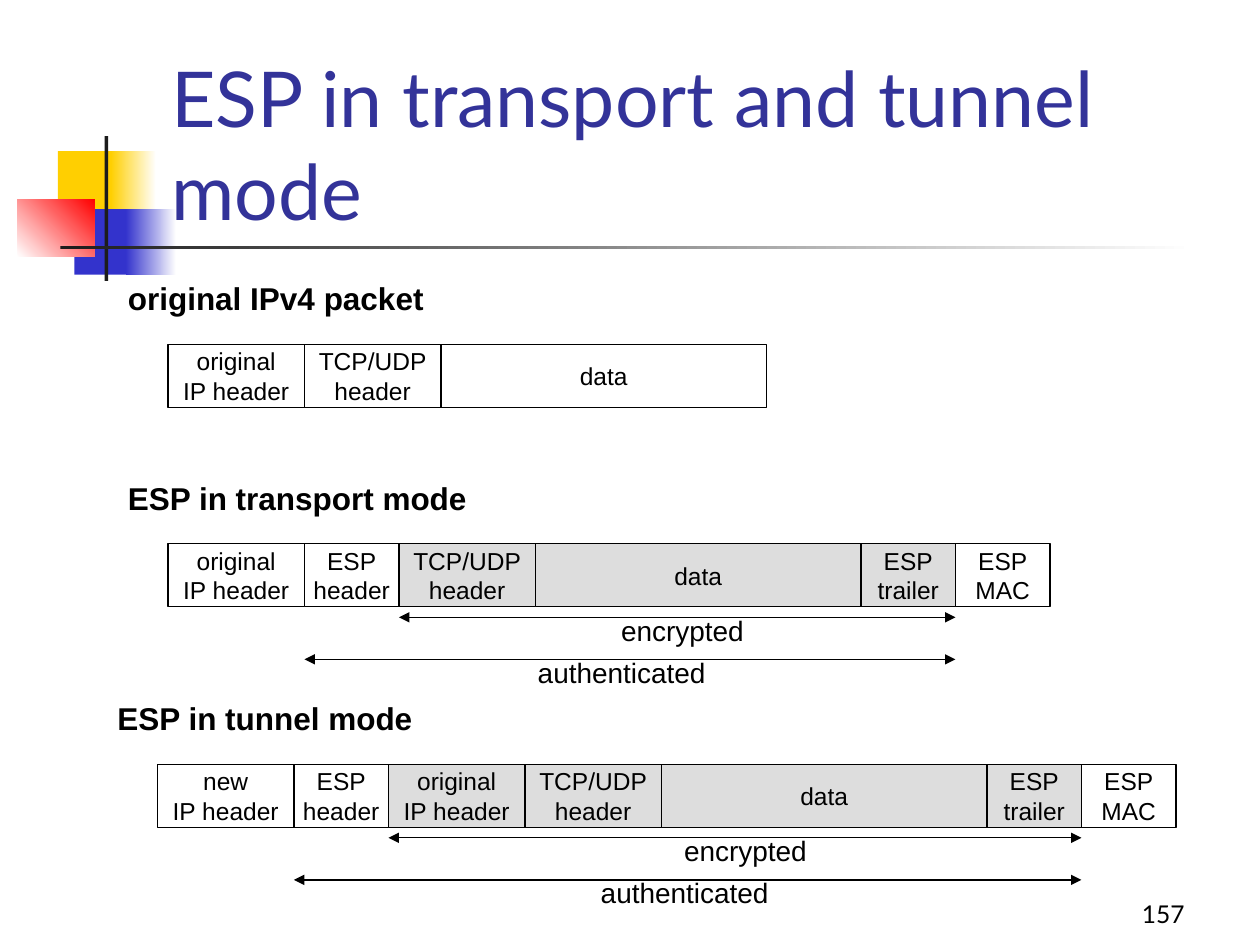
"""Build a slide comparing ESP packet layouts in transport and tunnel mode."""
import pptx
import pptx.dml.color
import pptx.enum.shapes
import pptx.enum.text
import pptx.oxml.xmlchemy
import pptx.util

BLACK = pptx.dml.color.RGBColor(0x00, 0x00, 0x00)
WHITE = pptx.dml.color.RGBColor(0xFF, 0xFF, 0xFF)
GREY = pptx.dml.color.RGBColor(0xDD, 0xDD, 0xDD)
CHARCOAL = pptx.dml.color.RGBColor(0x1C, 0x1C, 0x1C)
YELLOW = pptx.dml.color.RGBColor(0xFF, 0xCF, 0x01)
BLUE = pptx.dml.color.RGBColor(0x33, 0x33, 0xCC)
RED = pptx.dml.color.RGBColor(0xFF, 0x00, 0x00)
NAVY = pptx.dml.color.RGBColor(0x33, 0x33, 0x99)

ALIGN = pptx.enum.text.PP_ALIGN
ANCHOR = pptx.enum.text.MSO_ANCHOR
RECTANGLE = pptx.enum.shapes.MSO_SHAPE.RECTANGLE
UNITS_PER_INCH = 12


def grid(*units):
    return [pptx.util.Inches(unit / UNITS_PER_INCH) for unit in units]


def write(shape, text, size=14, font="Arial", color=BLACK, bold=False,
          align=ALIGN.CENTER, anchor=ANCHOR.TOP, wrap=False):
    frame = shape.text_frame
    frame.text = text
    frame.word_wrap = wrap
    frame.auto_size = pptx.enum.text.MSO_AUTO_SIZE.NONE
    frame.vertical_anchor = anchor
    for paragraph in frame.paragraphs:
        paragraph.alignment = align
        paragraph.font.size = pptx.util.Pt(size)
        paragraph.font.name = font
        paragraph.font.bold = bold
        paragraph.font.color.rgb = color


presentation = pptx.Presentation()
presentation.slide_width = pptx.util.Inches(10)
presentation.slide_height = pptx.util.Inches(7.5)
slide = presentation.slides.add_slide(presentation.slide_layouts[5])
shapes = slide.shapes

ornaments = [
    ((0.46, 1.2, 0.48, 0.52), YELLOW, None, 0),
    ((0.88, 1.2, 0.36, 0.52), YELLOW, WHITE, 0),
    ((0.59, 1.66, 0.46, 0.52), BLUE, None, 0),
    ((1, 1.66, 0.4, 0.52), BLUE, WHITE, 0),
    ((0.14, 1.58, 0.61, 0.46), WHITE, RED, 45),
    ((0.83, 1.08, 0.03, 1.15), CHARCOAL, None, 0),
    ((0.48, 1.95, 9, 0.03), CHARCOAL, WHITE, 0),
]
for box, start, end, angle in ornaments:
    ornament = shapes.add_shape(RECTANGLE, *map(pptx.util.Inches, box))
    ornament.shadow.inherit = False
    ornament.line.fill.background()
    if end is None:
        ornament.fill.solid()
        ornament.fill.fore_color.rgb = start
    else:
        ornament.fill.gradient()
        ornament.fill.gradient_angle = angle
        for stop, color in zip(ornament.fill.gradient_stops, (start, end)):
            stop.color.rgb = color

title = shapes.title
title.left, title.top, title.width, title.height = map(
    pptx.util.Inches, (1.26, 0.67, 8.52, 1.25))
write(title, "ESP in transport and tunnel mode", size=44, font="Lato", color=NAVY,
      align=ALIGN.LEFT, anchor=ANCHOR.BOTTOM, wrap=True)
shapes._spTree.append(title._element)

page_number = shapes.add_textbox(*map(pptx.util.Inches, (7.42, 6.92, 2.08, 0.5)))
write(page_number, "157", font="Lato", align=ALIGN.RIGHT, anchor=ANCHOR.BOTTOM, wrap=True)

ORIGINAL = ("original\nIP header", 13)
NEW = ("new\nIP header", 13)
TCP = ("TCP/UDP\nheader", 13)
DATA = ("data", 31)
ESP_HEADER = ("ESP\nheader", 9)
TRAILER = ("ESP\ntrailer", 9)
MAC = ("ESP\nMAC", 9)

packets = [
    ("original IPv4 packet", 30.6, 16, 32.8, [ORIGINAL, TCP, DATA], [], None),
    ("ESP in transport mode", 34.7, 16, 51.8,
     [ORIGINAL, ESP_HEADER], [TCP, DATA, TRAILER], 58),
    ("ESP in tunnel mode", 30.5, 15, 72.8,
     [NEW, ESP_HEADER], [ORIGINAL, TCP, DATA, TRAILER], 64),
]
for heading, heading_width, left, top, plain, encrypted, label_left in packets:
    caption = shapes.add_textbox(*grid(left - 5, top - 6.8, heading_width, 4.8))
    write(caption, heading, size=18, bold=True, align=ALIGN.LEFT)

    column = left
    fields = plain + encrypted + ([MAC] if encrypted else [])
    for index, (text, width) in enumerate(fields):
        field = shapes.add_shape(RECTANGLE, *grid(column, top, width, 6))
        field.shadow.inherit = False
        field.fill.solid()
        is_encrypted = len(plain) <= index < len(plain) + len(encrypted)
        field.fill.fore_color.rgb = GREY if is_encrypted else WHITE
        field.line.color.rgb = BLACK
        field.line.width = pptx.util.Pt(0.75)
        write(field, text, anchor=ANCHOR.MIDDLE)
        column += width

    if not encrypted:
        continue
    end = column - MAC[1]
    start = end - sum(width for _, width in encrypted)
    spans = [("encrypted", start, 7, label_left, 14),
             ("authenticated", start - ESP_HEADER[1], 11, label_left - 8, 18.4)]
    for text, span_start, drop, text_left, text_width in spans:
        row = top + drop
        arrow = shapes.add_connector(pptx.enum.shapes.MSO_CONNECTOR.STRAIGHT,
                                     *grid(span_start, row, end, row))
        arrow.line.color.rgb = BLACK
        arrow.line.width = pptx.util.Pt(0.75)
        line = arrow.line._get_or_add_ln()
        for tag in ("a:headEnd", "a:tailEnd"):
            tip = pptx.oxml.xmlchemy.OxmlElement(tag)
            tip.set("type", "triangle")
            line.append(tip)
        arrow._element.spPr.append(pptx.oxml.xmlchemy.OxmlElement("a:effectLst"))
        label = shapes.add_textbox(*grid(text_left, row - 1, text_width, 4.4))
        write(label, text, size=16)

presentation.save("out.pptx")
